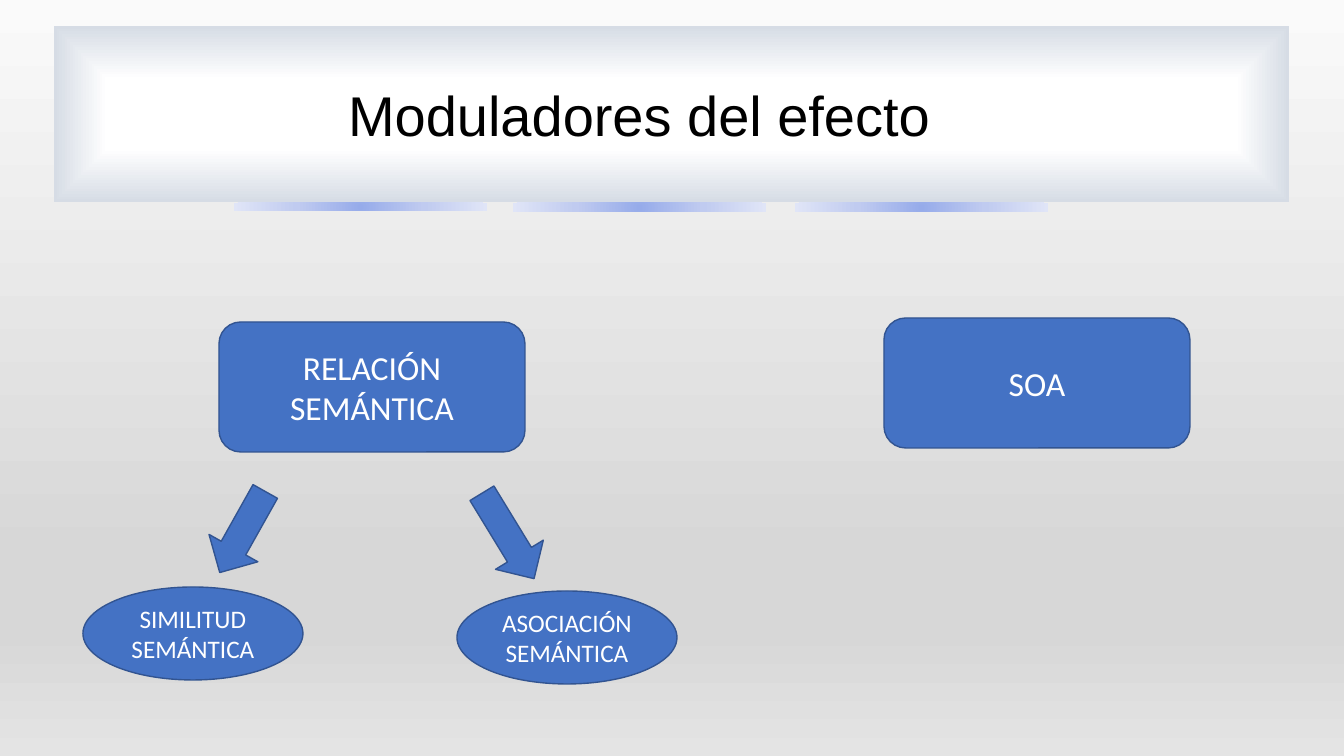
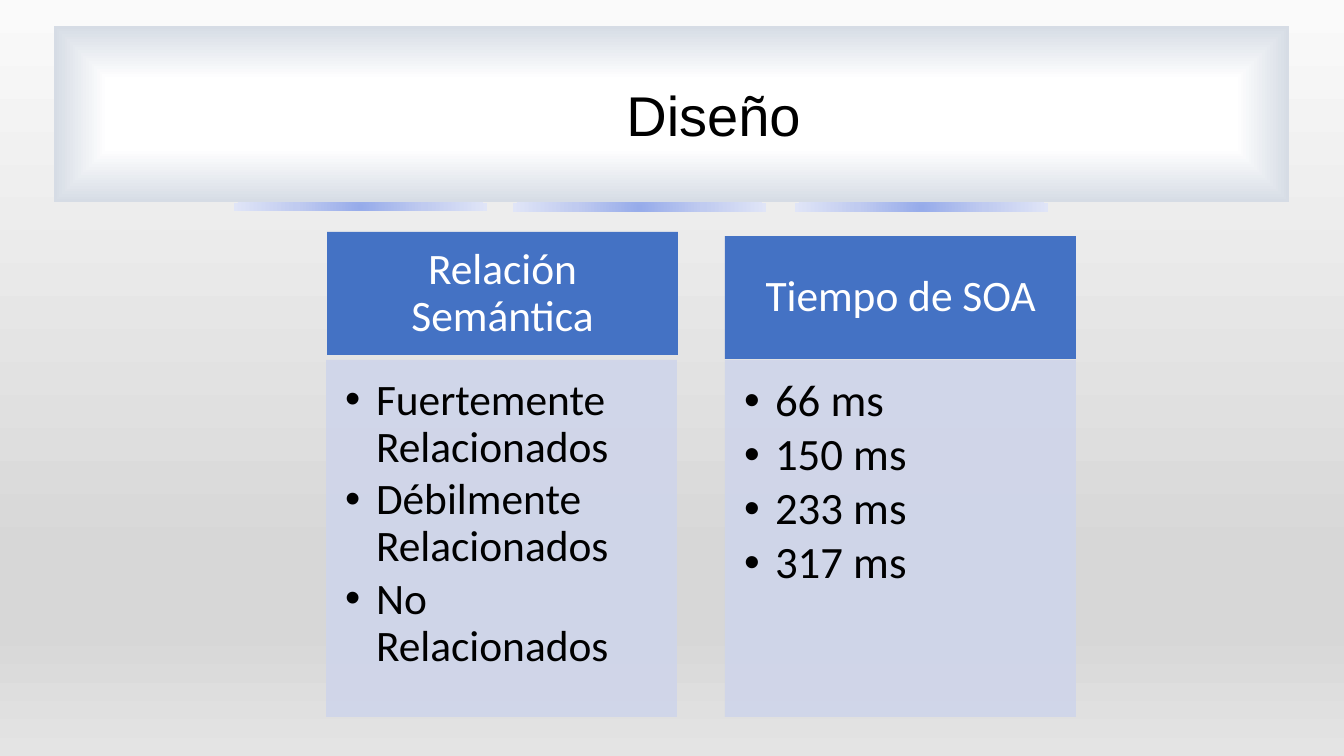
from lxml import etree
from pptx import Presentation, util as u
from pptx.dml.color import RGBColor
from pptx.enum import shapes, text
from pptx.oxml.ns import qn

EMU_PER_PX = 914400 / 100.8
BLUE, BLUE_EDGE, PALE = "4472C4", "325491", "CFD5EA"
BLACK, WHITE = "000000", "FFFFFF"
BACKGROUND = [(0, "FAFAFA"), (74, "D7D7D7"), (83, "D7D7D7"), (100, "E4E4E4")]
BANNER = [(39, WHITE), (100, "D6DCE5"), (100, "B4C7E7")]
ACCENT = [(0, "96ABEA"), (50, "C0CBF0"), (100, "E0E5F7")]
LEFT, CENTER = text.PP_ALIGN.LEFT, text.PP_ALIGN.CENTER
TOP, MIDDLE = text.MSO_ANCHOR.TOP, text.MSO_ANCHOR.MIDDLE
KIND = shapes.MSO_SHAPE


def px(n):
    return u.Emu(round(n * EMU_PER_PX))


def rgb(color):
    return RGBColor.from_string(color)


def child(parent, tag, **attrs):
    return etree.SubElement(parent, qn(tag), {k: str(v) for k, v in attrs.items()})


def gradient(fill, element, stops, path=None):
    """Vertical gradient, or one that runs out from the centre along a path."""
    fill.gradient()
    grad = element.find(".//" + qn("a:gradFill"))
    for old in list(grad):
        grad.remove(old)
    gs_list = child(grad, "a:gsLst")
    for pos, color in stops:
        child(child(gs_list, "a:gs", pos=pos * 1000), "a:srgbClr", val=color)
    if path:
        center = dict.fromkeys("ltrb", 50000)
        child(child(grad, "a:path", path=path), "a:fillToRect", **center)
    else:
        child(grad, "a:lin", ang=90 * 60000, scaled=0)


def write(tf, lines, size, color=WHITE, font="Calibri", align=CENTER, anchor=MIDDLE,
          inset=None, spacing=None, after=0, bullet_indent=0):
    tf.word_wrap = True
    tf.auto_size = text.MSO_AUTO_SIZE.NONE
    tf.vertical_anchor = anchor
    if inset:
        tf.margin_left, tf.margin_top, tf.margin_right, tf.margin_bottom = map(px, inset)
    for i, line in enumerate(lines):
        p = tf.paragraphs[0] if i == 0 else tf.add_paragraph()
        p.alignment, p.line_spacing, p.space_after = align, spacing, u.Pt(after)
        if bullet_indent:
            pPr = p._p.get_or_add_pPr()
            pPr.set("marL", str(px(bullet_indent)))
            pPr.set("indent", str(-px(bullet_indent)))
            child(pPr, "a:buFont", typeface="Arial")
            child(pPr, "a:buChar", char="•")
        r = p.add_run()
        r.text = line
        r.font.name, r.font.size = font, u.Pt(size)
        r.font.color.rgb = rgb(color)


def add_block(s, kind, box, fill=None, edge=None, rotation=0):
    sp = s.shapes.add_shape(kind, *map(px, box))
    sp.shadow.inherit = False
    sp.rotation = rotation
    if fill:
        sp.fill.solid()
        sp.fill.fore_color.rgb = rgb(fill)
    if edge:
        sp.line.color.rgb = rgb(edge)
        sp.line.width = u.Pt(1)
    else:
        sp.line.fill.background()
    return sp


def add_node(s, kind, box, label, size):
    sp = add_block(s, kind, box, BLUE, BLUE_EDGE)
    write(sp.text_frame, [label], size)


def add_column(s, header_at, body_at, heading, items, size):
    header = add_block(s, KIND.RECTANGLE, (*header_at, 351, 123), BLUE)
    write(header.text_frame, [heading], 31, inset=(24, 14, 24, 14), spacing=0.9)
    body = add_block(s, KIND.RECTANGLE, (*body_at, 351, 357), PALE)
    child(body.element.spPr.find(".//" + qn("a:srgbClr")), "a:alpha", val=90000)
    write(body.text_frame, items, size, BLACK, align=LEFT, anchor=TOP,
          inset=(19, 18, 24, 27), spacing=0.9, after=4, bullet_indent=31)


def add_titled_slide(prs, layout, title, align):
    s = prs.slides.add_slide(layout)
    sp = s.shapes.title
    sp.left, sp.top, sp.width, sp.height = map(px, (338, 75, 751, 109))
    write(sp.text_frame, [title], 40, BLACK, "Arial", align, TOP)
    return s


def decorate_layout(layout, s):
    """Draw the shared background and bands, and place them in the layout."""
    gradient(layout.background.fill, layout.element, BACKGROUND)
    bands = [((54, 26, 1235, 176), BANNER, "rect")]
    bands += [((x, 203, 253, h), ACCENT, "circle")
              for x, h in ((234, 8), (513, 9), (795, 9))]
    tree = layout.element.cSld.spTree
    for i, (box, stops, path) in enumerate(bands):
        sp = add_block(s, KIND.RECTANGLE, box)
        gradient(sp.fill, sp.element, stops, path)
        sp.name = f"Band {i + 1}"
        bands[i] = sp
    for i, sp in enumerate(bands):
        tree.insert(2 + i, sp.element)


def main():
    prs = Presentation()
    prs.slide_width, prs.slide_height = px(1344), px(756)
    layout = prs.slide_layouts[5]
    # The layout keeps only its title placeholder
    for ph in list(layout.placeholders)[1:]:
        ph.element.getparent().remove(ph.element)

    # Slide 1: moderators
    s = add_titled_slide(prs, layout, "Moduladores del efecto", LEFT)
    decorate_layout(layout, s)
    for x, y, label in ((219, 322, "RELACIÓN SEMÁNTICA"), (884, 318, "SOA")):
        add_node(s, KIND.ROUNDED_RECTANGLE, (x, y, 306, 130), label, 24)
    for box, rotation in (((458, 508, 100, 56), 58.6), ((196, 504, 93, 56), 119.3)):
        add_block(s, KIND.RIGHT_ARROW, box, BLUE, BLUE_EDGE, rotation)
    for x, y, label in ((457, 591, "ASOCIACIÓN SEMÁNTICA"), (83, 587, "SIMILITUD SEMÁNTICA")):
        add_node(s, KIND.OVAL, (x, y, 220, 93), label, 18)

    # Slide 2: design
    s = add_titled_slide(prs, layout, "Diseño", CENTER)
    add_column(s, (327, 232), (326, 360), "Relación Semántica",
               [f"{degree} Relacionados" if degree == "No" else f"{degree} Relacionados"
                for degree in ("Fuertemente", "Débilmente", "No")], 31)
    add_column(s, (725, 236), (725, 360), "Tiempo de SOA",
               [f"{ms} ms" for ms in (66, 150, 233, 317)], 32)

    prs.save("out.pptx")


if __name__ == "__main__":
    main()
